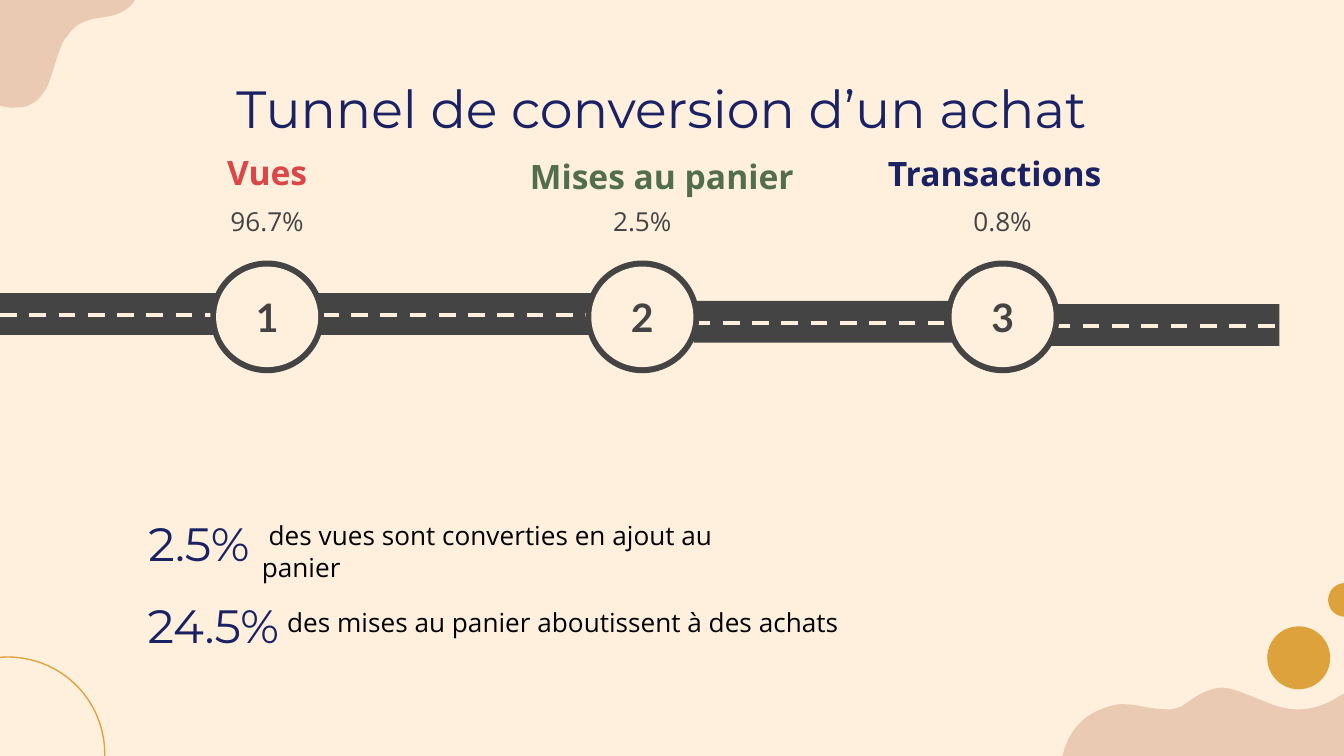
"""Build a slide showing the conversion funnel of a purchase as a road with three stops."""
from pptx import Presentation as Deck
from pptx.dml.color import RGBColor as Rgb
from pptx.enum.dml import MSO_LINE as Dash
from pptx.enum.shapes import MSO_CONNECTOR as Conn, MSO_SHAPE as Kind
from pptx.enum.text import MSO_ANCHOR as Anchor, PP_ALIGN as Align
from pptx.oxml.ns import qn
from pptx.util import Cm, Pt
from lxml.etree import SubElement as Sub

HUES = {"cream": "FFF0DE", "blush": "EBCAB3", "gold": "DEA23C", "road": "444444",
        "navy": "1A2263", "red": "DB4646", "green": "536E4C", "black": "000000"}

FORMS = {
    "title": {"size": Pt(28), "name": "Montserrat"},
    "step": {"size": Pt(18), "name": "Open Sans", "bold": True},
    "rate": {"size": Pt(14), "name": "Open Sans"},
    "stop": {"size": Pt(21), "name": "Lato", "bold": True},
    "fact": {"size": Pt(25), "name": "Montserrat"},
}

TITLE = "Tunnel de conversion d’un achat"

STEPS = [
    ("1", "Vues", "red", "96.7%", 5.05, 5.05, 3.26),
    ("2", "Mises au panier", "green", "2.5%", 12.14, 12.51, 3.32),
    ("3", "Transactions", "navy", "0.8%", 18.95, 18.8, 3.28),
]

FACTS = [
    ("2.5%", (2.49, 9.14, 2.54, 1.9),
     " des vues sont converties en ajout au panier", (4.7, 9.35, 10.39, 2.13)),
    ("24.5%", (2.46, 10.69, 3.15, 1.9),
     " des mises au panier aboutissent à des achats", (5.05, 10.69, 11.94, 2.13)),
]

ROADS = [(0, 11.18, 5.93, 0), (13.11, 18.01, 6.08, 13.11), (19.33, 24.18, 6.14, 19.91)]

DOTS = [(23.95, 11.84, 1.19), (25.1, 11.02, 0.64)]
LOOP = (-1.68, 12.42, 3.66)

BLOBS = [
    ((25.4, 13.11), [
        (25.27, 13.18, 25.17, 13.26, 25.02, 13.31), (24.84, 13.39, 24.66, 13.41, 24.51, 13.41),
        (24.18, 13.41, 23.93, 13.26, 23.52, 13.11), (23.39, 13.06, 23.24, 13, 23.09, 13),
        (22.94, 13, 22.81, 13.06, 22.66, 13.13), (22.43, 13.26, 22.35, 13.41, 22.07, 13.41),
        (21.74, 13.41, 21.49, 13.31, 21.21, 13.31), (21.11, 13.31, 20.98, 13.34, 20.85, 13.39),
        (20.45, 13.54, 20.19, 13.82, 20.08, 14.29)], (25.4, 14.29)),
    ((2.55, 0), [
        (2.5, 0.1, 2.4, 0.2, 2.18, 0.28), (2.03, 0.33, 1.85, 0.33, 1.68, 0.38),
        (1.5, 0.43, 1.37, 0.53, 1.27, 0.69), (1.19, 0.76, 1.17, 0.86, 1.12, 0.97),
        (1.04, 1.19, 0.99, 1.42, 0.89, 1.65), (0.81, 1.78, 0.71, 1.93, 0.56, 1.98),
        (0.48, 2.03, 0.41, 2.03, 0.3, 2.03), (0.2, 2.04, 0.1, 2.03, 0, 2)], (0, 0)),
]

deck = Deck()
deck.slide_width, deck.slide_height = Cm(25.4), Cm(14.29)
slide = deck.slides.add_slide(deck.slide_layouts[6])
slide.background.fill.solid()
slide.background.fill.fore_color.rgb = Rgb.from_string(HUES["cream"])
shapes = slide.shapes


def paint(shape, hue):
    shape.shadow.inherit = False
    shape.fill.solid()
    shape.fill.fore_color.rgb = Rgb.from_string(HUES[hue])
    shape.line.fill.background()
    return shape


def draw(kind, box, hue):
    return paint(shapes.add_shape(kind, *map(Cm, box)), hue)


def around(x, y, wide, high):
    return x - wide / 2, y - high / 2, wide, high


def write(shape, text, form, hue, align=Align.CENTER, anchor=Anchor.MIDDLE, pad=(0.1, 0.05)):
    frame = shape.text_frame
    side, edge = map(Cm, pad)
    looks = {"word_wrap": True, "vertical_anchor": anchor, "margin_left": side,
             "margin_right": side, "margin_top": edge, "margin_bottom": edge}
    for key, value in looks.items():
        setattr(frame, key, value)
    para = frame.paragraphs[0]
    para.alignment = align
    run = para.add_run()
    run.text = text
    for key, value in FORMS[form].items():
        setattr(run.font, key, value)
    run.font.color.rgb = Rgb.from_string(HUES[hue])


def label(box, *args, **more):
    write(shapes.add_textbox(*map(Cm, box)), *args, **more)


def curve(start, bends, steps=8):
    for a, b, c, d, e, f in bends:
        for i in range(1, steps + 1):
            t = i / steps
            u = 1 - t
            yield tuple(u**3 * p + 3 * u * u * t * q + 3 * u * t * t * r + t**3 * s
                        for p, q, r, s in zip(start, (a, b), (c, d), (e, f)))
        start = e, f


def blob(start, bends, corner):
    pen = shapes.build_freeform(*map(Cm, start))
    points = [*curve(start, bends), corner]
    pen.add_line_segments([(Cm(x), Cm(y)) for x, y in points], close=True)
    paint(pen.convert_to_shape(), "blush")


def stripe(left, right, y):
    line = shapes.add_connector(Conn.STRAIGHT, Cm(left), Cm(y), Cm(right), Cm(y))
    line.line.color.rgb = Rgb.from_string(HUES["cream"])
    line.line.width = Pt(2.25)
    line.line.dash_style = Dash.DASH
    Sub(line._element.spPr, qn("a:effectLst"))


for item in BLOBS:
    blob(*item)
for x, y, size in DOTS:
    draw(Kind.OVAL, (x, y, size, size), "gold")
x, y, size = LOOP
loop = draw(Kind.OVAL, (x, y, size, size), "gold")
loop.fill.background()
loop.line.color.rgb = Rgb.from_string(HUES["gold"])
loop.line.width = Pt(0.75)

for left, right, y, dash in ROADS:
    draw(Kind.RECTANGLE, (left, y - 0.39, right - left, 0.79), "road")
    stripe(dash, right, y + 0.02)

wide = (0.25, 0.25)
label((1.78, 1.24, 21.44, 1.6), TITLE, "title", "navy", pad=wide)

for (num, name, hue, rate, x, mid, y) in STEPS:
    draw(Kind.OVAL, around(x, 5.99, 2.15, 2.13), "road")
    write(draw(Kind.OVAL, around(x, 5.99, 1.93, 1.9), "cream"), num, "stop", "road")
    label(around(mid, y, 5.4, 0.7), name, "step", hue)
    label(around(x, 4.18, 3.91, 0.89), rate, "rate", "road")

for rate, spot, text, box in FACTS:
    label(box, text, "rate", "black", align=Align.LEFT, pad=wide)
    label(spot, rate, "fact", "navy", anchor=Anchor.BOTTOM, pad=wide)

deck.save("out.pptx")
